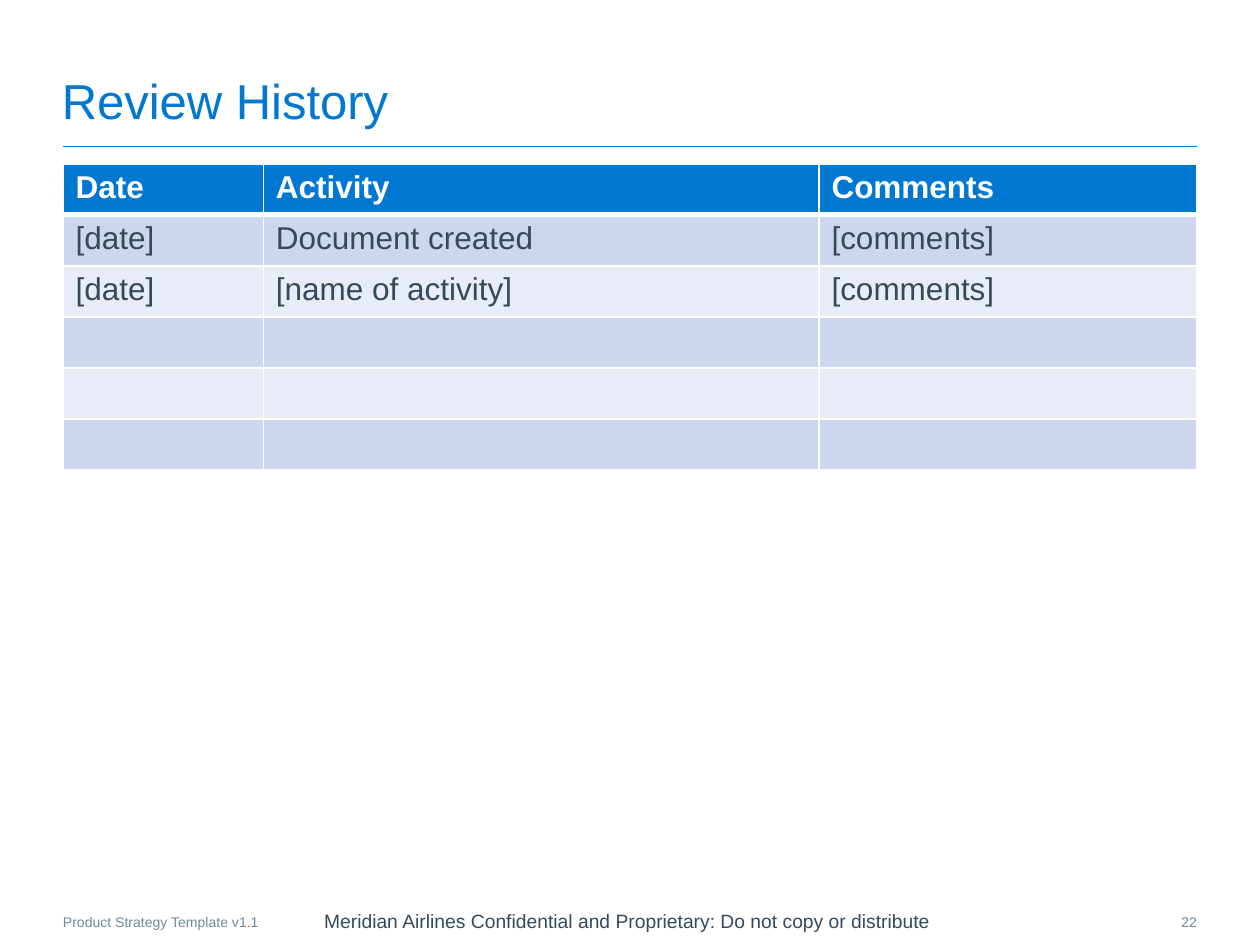
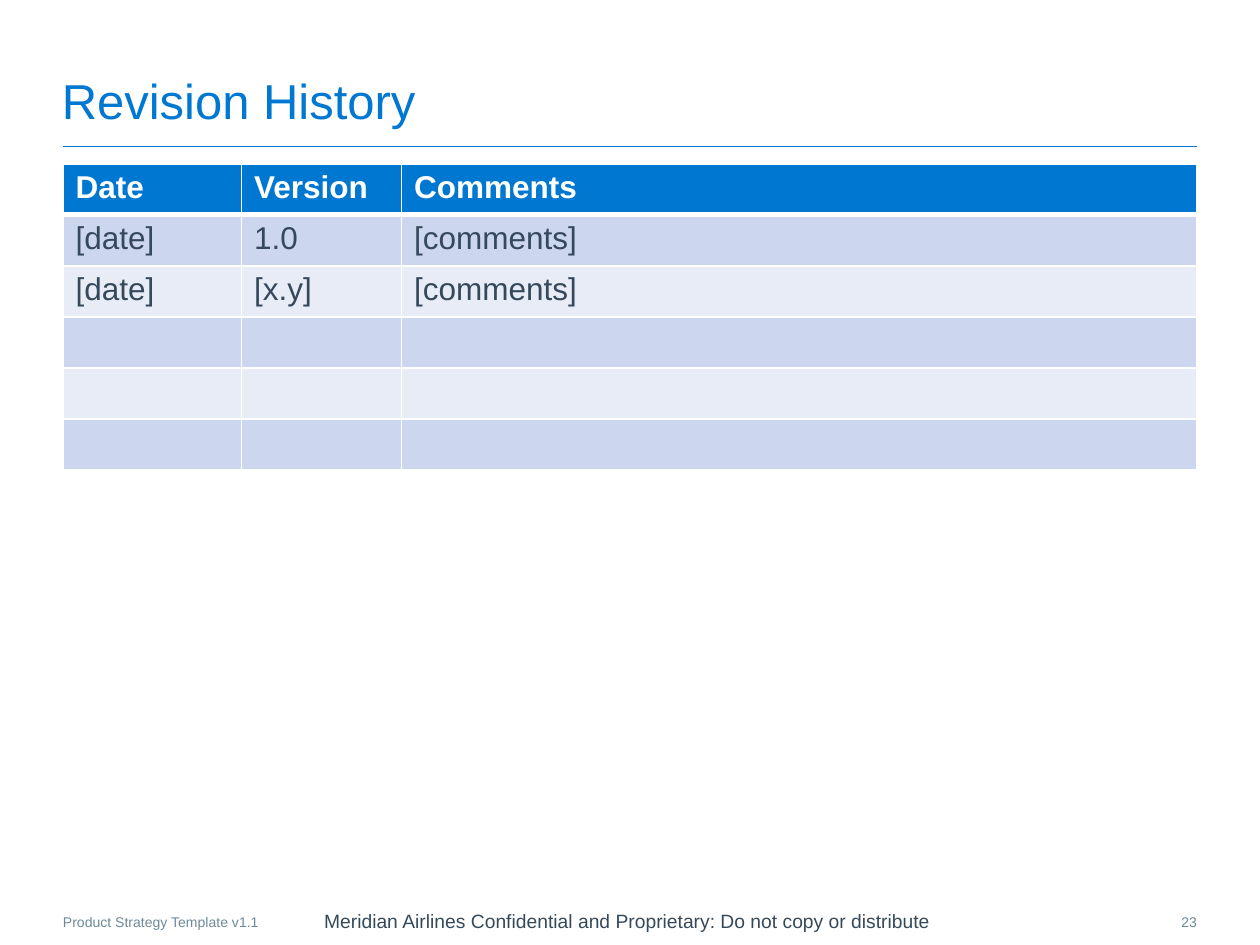
import dataclasses
import typing

import lxml.etree
import pptx
import pptx.dml.color
import pptx.enum.shapes
import pptx.enum.text
import pptx.oxml.ns
import pptx.slide
import pptx.table
import pptx.util

Pt = pptx.util.Pt
RGB = pptx.dml.color.RGBColor
ALIGN = pptx.enum.text.PP_ALIGN
ANCHOR = pptx.enum.text.MSO_ANCHOR
qn = pptx.oxml.ns.qn

BLUE = RGB(0x00, 0x78, 0xD2)
SLATE = RGB(0x36, 0x49, 0x5A)
GREY = RGB(0x6E, 0x89, 0x99)
WHITE = RGB(0xFF, 0xFF, 0xFF)
BANDS = (RGB(0xE7, 0xEC, 0xF7), RGB(0xCC, 0xD6, 0xEE))
FONT = "Arial"

LEFT, RIGHT = 36, 684
RULE_Y = 83.5
TABLE_TOP = 93.6
ROW_HEIGHT = 29.16
ROW_COUNT = 6
FIRST_PAGE = 22


@dataclasses.dataclass(frozen=True)
class Label:
    """Place and style of a line of text that recurs on every slide."""

    left: float
    top: float
    width: float
    height: float
    size: float
    color: RGB
    align: ALIGN = ALIGN.LEFT
    anchor: ANCHOR = ANCHOR.TOP
    inset: tuple[float, float] = (0, 0)
    wrap: bool = True


@dataclasses.dataclass(frozen=True)
class History:
    """Title, column widths and filled rows of a history slide."""

    title: str
    widths: tuple[float, ...]
    rows: tuple[tuple[str, ...], ...]


TITLE = Label(35.28, 30.24, 648.72, 43.92, 28, BLUE, anchor=ANCHOR.BOTTOM)
NOTICE = Label(144.72, 516.96, 427.68, 18.72, 11, SLATE, ALIGN.CENTER,
               ANCHOR.MIDDLE, (7.2, 3.6), False)
VERSION = Label(LEFT, 522, 139.68, 10.08, 8, GREY)
PAGE = Label(658.8, 522, 25.2, 10.8, 8, GREY, ALIGN.RIGHT)

NOTICE_TEXT = "Meridian Airlines Confidential and Proprietary: Do not copy or distribute"
VERSION_TEXT = "Product Strategy Template v1.1"

HISTORIES = (
    History("Review History", (114.5, 317.5, 216), (
        ("Date", "Activity", "Comments"),
        ("[date]", "Document created", "[comments]"),
        ("[date]", "[name of activity]", "[comments]"),
    )),
    History("Revision History", (102, 91.5, 454.5), (
        ("Date", "Version", "Comments"),
        ("[date]", "1.0", "[comments]"),
        ("[date]", "[x.y]", "[comments]"),
    )),
)


def add_run(p: typing.Any, text: str, size: float, color: RGB, bold: bool = False) -> None:
    """Append a styled run to a paragraph."""
    r = p.add_run()
    r.text = text
    r.font.name = FONT
    r.font.size = Pt(size)
    r.font.bold = bold
    r.font.color.rgb = color


def add_label(s: pptx.slide.Slide, label: Label, text: str) -> None:
    """Draw one line of text in its shared place."""
    sp = s.shapes.add_textbox(Pt(label.left), Pt(label.top), Pt(label.width), Pt(label.height))
    tf = sp.text_frame
    tf.word_wrap = label.wrap
    tf.vertical_anchor = label.anchor
    tf.margin_left = tf.margin_right = Pt(label.inset[0])
    tf.margin_top = tf.margin_bottom = Pt(label.inset[1])
    p = tf.paragraphs[0]
    p.alignment = label.align
    add_run(p, text, label.size, label.color)


def add_rule(s: pptx.slide.Slide) -> None:
    """Draw the thin line under the title."""
    line = s.shapes.add_connector(pptx.enum.shapes.MSO_CONNECTOR.STRAIGHT,
                                  Pt(LEFT), Pt(RULE_Y), Pt(RIGHT), Pt(RULE_Y))
    line.line.color.rgb = BLUE
    line.line.width = Pt(0.5)
    lxml.etree.SubElement(line._element.spPr, qn("a:effectLst"))


def set_borders(cell: pptx.table._Cell, top: float, bottom: float) -> None:
    """Give a cell white borders, one point wide at the sides."""
    tc_pr = cell._tc.get_or_add_tcPr()
    for side, width in (("L", 1), ("R", 1), ("T", top), ("B", bottom)):
        ln = lxml.etree.SubElement(tc_pr, qn(f"a:ln{side}"), w=str(Pt(width)))
        fill = lxml.etree.SubElement(ln, qn("a:solidFill"))
        lxml.etree.SubElement(fill, qn("a:srgbClr"), val=str(WHITE))


def add_history_table(s: pptx.slide.Slide, history: History) -> None:
    """Draw the banded table, leaving the rows after the given ones empty."""
    table = s.shapes.add_table(ROW_COUNT, len(history.widths), Pt(LEFT), Pt(TABLE_TOP),
                               Pt(sum(history.widths)), Pt(ROW_HEIGHT * ROW_COUNT)).table
    for column, width in zip(table.columns, history.widths):
        column.width = Pt(width)
    for i, row in enumerate(table.rows):
        row.height = Pt(ROW_HEIGHT)
        header = i == 0
        for j, cell in enumerate(row.cells):
            set_borders(cell, 3 if i == 1 else 1, 3 if header else 1)
            cell.fill.solid()
            cell.fill.fore_color.rgb = BLUE if header else BANDS[i % 2]
            if i < len(history.rows):
                add_run(cell.text_frame.paragraphs[0], history.rows[i][j], 18,
                        WHITE if header else SLATE, header)


def add_history_slide(prs: typing.Any, history: History, page: int) -> None:
    """Add a slide with the shared frame and its history table."""
    s = prs.slides.add_slide(prs.slide_layouts[6])
    add_rule(s)
    add_label(s, NOTICE, NOTICE_TEXT)
    add_label(s, TITLE, history.title)
    add_label(s, VERSION, VERSION_TEXT)
    add_label(s, PAGE, str(page))
    add_history_table(s, history)


def main() -> None:
    """Build and save the presentation."""
    prs = pptx.Presentation()
    prs.slide_width, prs.slide_height = Pt(720), Pt(540)
    for page, history in enumerate(HISTORIES, FIRST_PAGE):
        add_history_slide(prs, history, page)
    prs.save("out.pptx")


if __name__ == "__main__":
    main()
